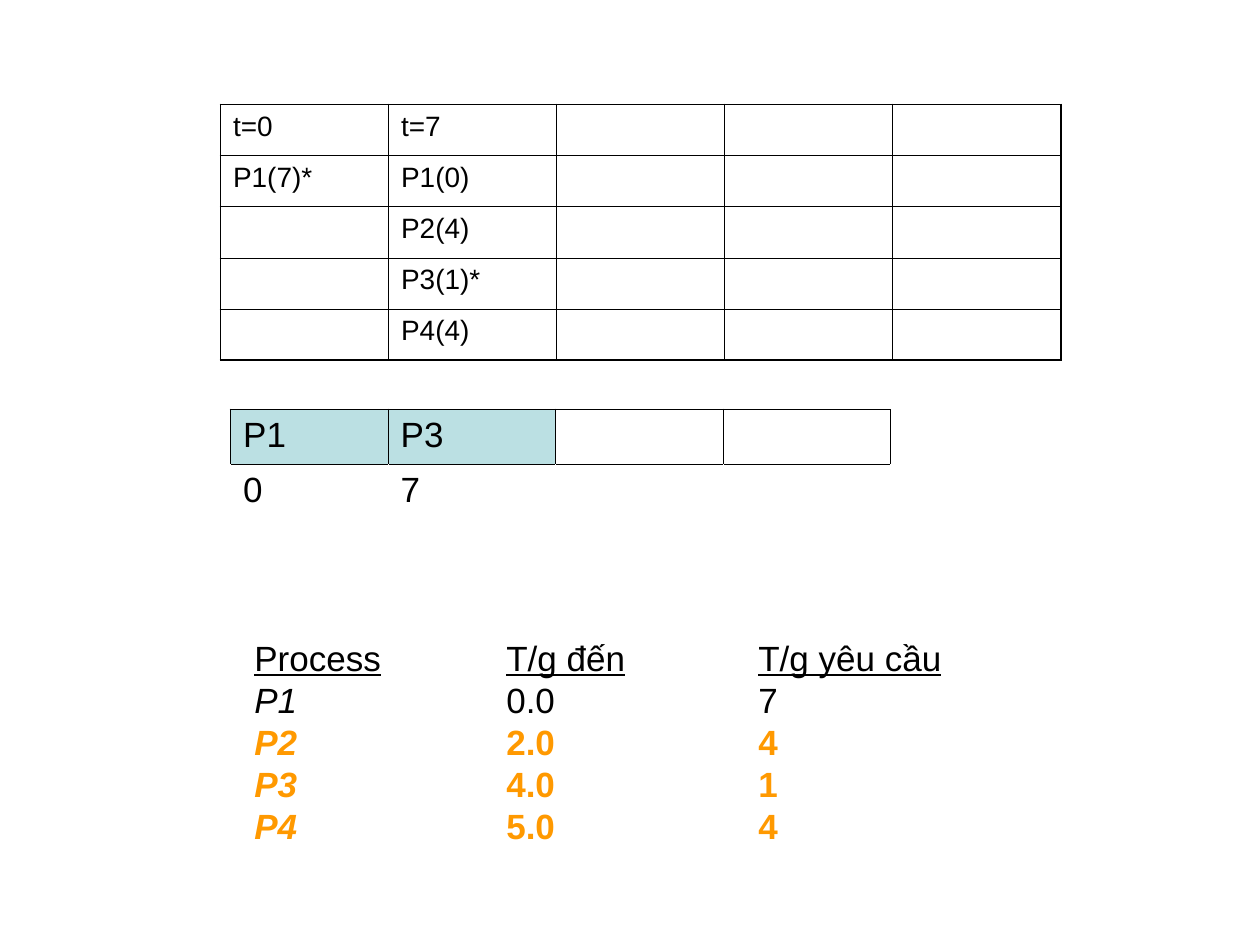
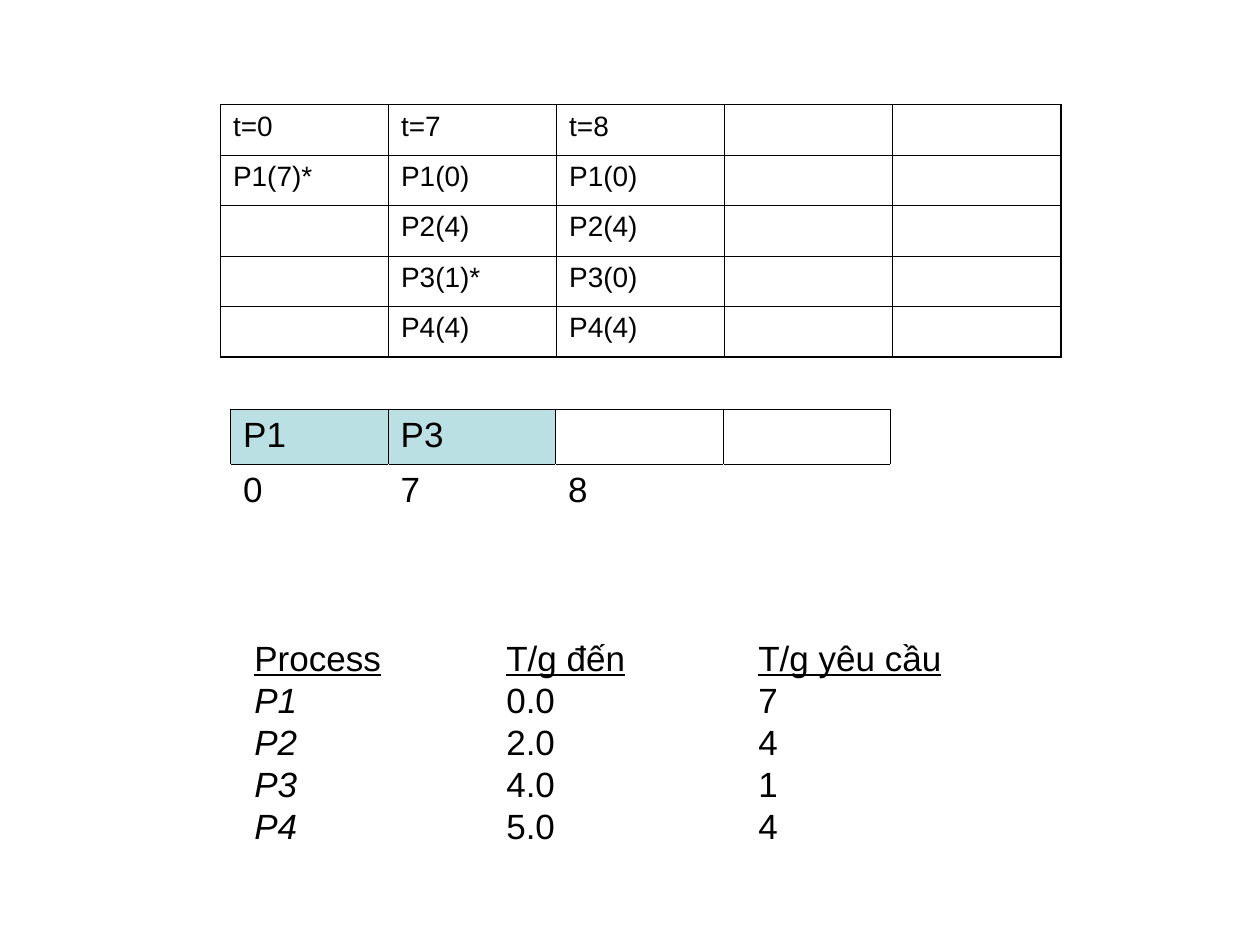
from lxml import etree
from pptx import Presentation
from pptx.dml.color import RGBColor
from pptx.enum.text import MSO_AUTO_SIZE
from pptx.oxml.ns import qn
from pptx.util import Inches, Pt

GROW = MSO_AUTO_SIZE.SHAPE_TO_FIT_TEXT

COLORS = {"text": "000000", "line": "000000", "hidden": "FFFFFF",
          "busy": "BBE0E3", "waiting": "FF9900"}
FONT = "Arial"
THIN, THICK = 0.45, 1.08
GRID_SIZE, LARGE_SIZE = 16, 20

# Boxes are left, top, width, height in inches
STATE_BOX = (1.75, 0.83, 6.67, 2)
GANTT_BOX = (1.83, 3.25, 6.67, 0.87)
PROCESS_BOX = (1.92, 5, 6.5, 1.77)

STATE_COUNT = 5
GANTT_COLUMNS = (1.25, 1.33, 1.33, 1.33, 1.42)
PROCESS_TABS = (2, 4)

PROCESS_HEADINGS = ("Process", "T/g đến", "T/g yêu cầu")
PROCESSES = (("P1", "0.0", "7"), ("P2", "2.0", "4"),
             ("P3", "4.0", "1"), ("P4", "5.0", "4"))

START = ("t=0", "P1(7)*")
AFTER_P1 = ("t=7", "P1(0)", "P2(4)", "P3(1)*", "P4(4)")
AFTER_P3 = ("t=8", "P1(0)", "P2(4)", "P3(0)", "P4(4)")
RUNNING = ("P1", "P3")

SLIDES = (
    {"states": (START, AFTER_P1), "times": ("0", "7"), "waiting": ("P2", "P3", "P4")},
    {"states": (START, AFTER_P1, AFTER_P3), "times": ("0", "7", "8"), "waiting": ()},
)


def format_run(run, size, color="text", bold=False, italic=False, underline=False):
    font = run.font
    font.name, font.size = FONT, Pt(size)
    font.bold, font.italic, font.underline = bold, italic, underline
    font.color.rgb = RGBColor.from_string(COLORS[color])


def set_borders(cell, **sides):
    """Each side (L, R, T, B) is a pair of colour name and width in points."""
    properties = cell._tc.get_or_add_tcPr()
    for side in "LRTB":
        color, width = sides[side]
        line = etree.SubElement(properties, qn(f"a:ln{side}"), w=str(Pt(width)))
        fill = etree.SubElement(line, qn("a:solidFill"))
        etree.SubElement(fill, qn("a:srgbClr"), val=COLORS[color])


def fill_cell(cell, text, size, color=None):
    if color:
        cell.fill.solid()
        cell.fill.fore_color.rgb = RGBColor.from_string(COLORS[color])
    else:
        cell.fill.background()
    if text:
        cell.text_frame.text = text
        format_run(cell.text_frame.paragraphs[0].runs[0], size)


def add_plain_table(slide, box, row_count, column_widths):
    frame = slide.shapes.add_table(row_count, len(column_widths), *map(Inches, box))
    table = frame.table
    table.first_row = table.horz_banding = False
    for column, width in zip(table.columns, column_widths):
        column.width = Inches(width)
    return table


def item_at(items, index):
    return items[index] if index < len(items) else ""


def add_state_table(slide, box, states):
    """Remaining time of every process, one column per moment."""
    table = add_plain_table(slide, box, STATE_COUNT, [box[2] / STATE_COUNT] * STATE_COUNT)
    last = STATE_COUNT - 1
    for row in range(STATE_COUNT):
        for column in range(STATE_COUNT):
            cell = table.cell(row, column)
            outer = {"L": column == 0, "R": column == last, "T": row == 0, "B": row == last}
            set_borders(cell, **{side: ("line", THICK if is_outer else THIN)
                                 for side, is_outer in outer.items()})
            fill_cell(cell, item_at(item_at(states, column), row), GRID_SIZE)


def add_gantt_chart(slide, box, running, times):
    """Bar of running processes above the times at which they start."""
    table = add_plain_table(slide, box, 2, GANTT_COLUMNS)
    black, white, heavy = ("line", THIN), ("hidden", THIN), ("line", THICK)
    last = len(GANTT_COLUMNS) - 1
    for column in range(last + 1):
        bar, time = table.cell(0, column), table.cell(1, column)
        if column < last:
            set_borders(bar, L=black if column else heavy, R=black, T=heavy, B=black)
        else:
            set_borders(bar, L=black, R=white, T=white, B=white)
        set_borders(time, L=white, R=white, T=black if column < last else white, B=white)
        fill_cell(bar, item_at(running, column), LARGE_SIZE,
                  "busy" if column < len(running) else None)
        fill_cell(time, item_at(times, column), LARGE_SIZE)


def add_tab_stops(paragraph):
    tab_list = etree.SubElement(paragraph._p.get_or_add_pPr(), qn("a:tabLst"))
    for position in PROCESS_TABS:
        etree.SubElement(tab_list, qn("a:tab"), pos=str(Inches(position)), algn="l")


def add_process_list(slide, box, waiting):
    """Arrival and burst times; waiting processes stand out."""
    text_frame = slide.shapes.add_textbox(*map(Inches, box)).text_frame
    text_frame.word_wrap = True
    text_frame.auto_size = GROW
    for index, row in enumerate((PROCESS_HEADINGS, *PROCESSES)):
        paragraph = text_frame.add_paragraph() if index else text_frame.paragraphs[0]
        add_tab_stops(paragraph)
        is_heading, is_waiting = index == 0, row[0] in waiting
        style = {"color": "waiting" if is_waiting else "text", "bold": is_waiting}
        for column, text in enumerate(row):
            if column:
                gap = paragraph.add_run()
                gap.text = "\t"
                format_run(gap, LARGE_SIZE, **style)
            run = paragraph.add_run()
            run.text = text
            format_run(run, LARGE_SIZE, underline=is_heading,
                       italic=column == 0 and not is_heading, **style)


def add_schedule_slide(presentation, states, times, waiting):
    slide = presentation.slides.add_slide(presentation.slide_layouts[6])
    add_state_table(slide, STATE_BOX, states)
    add_gantt_chart(slide, GANTT_BOX, RUNNING, times)
    add_process_list(slide, PROCESS_BOX, waiting)


def main():
    presentation = Presentation()
    presentation.slide_width, presentation.slide_height = Inches(10), Inches(7.5)
    for content in SLIDES:
        add_schedule_slide(presentation, **content)
    presentation.save("out.pptx")


if __name__ == "__main__":
    main()
